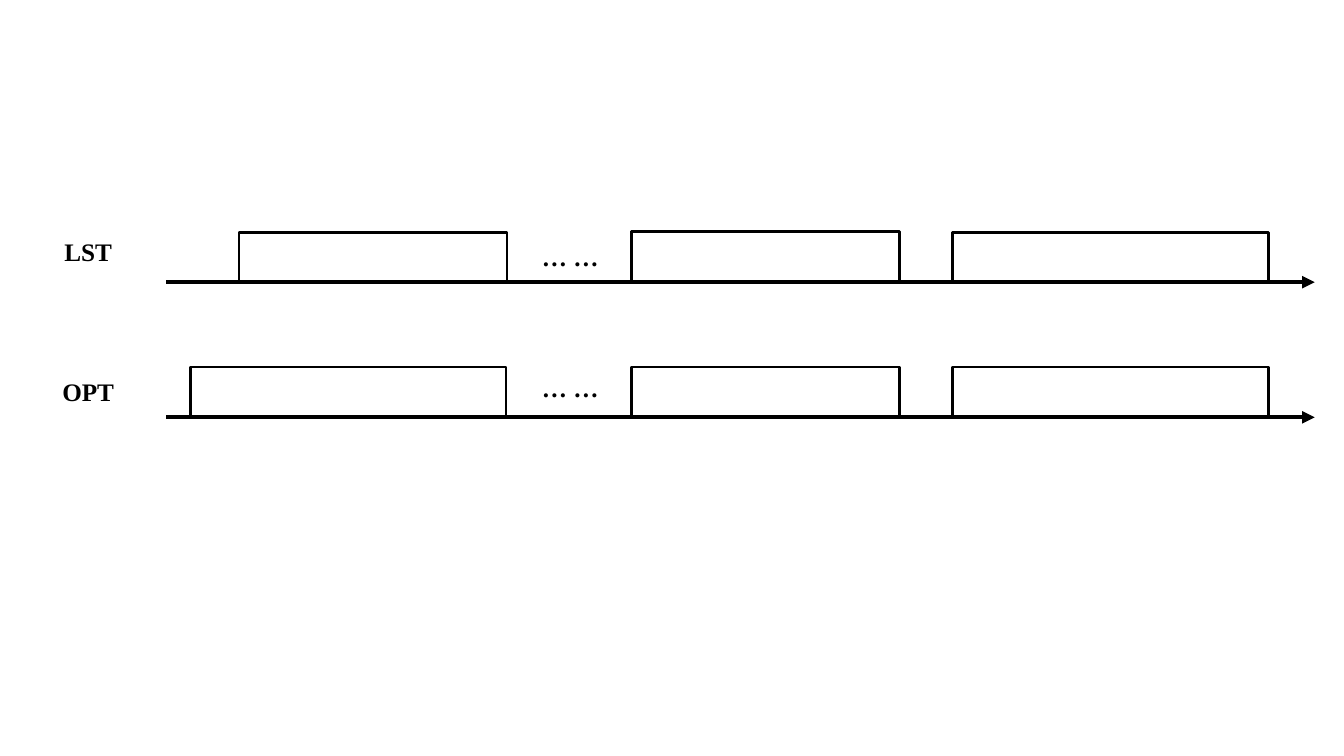
from dataclasses import dataclass

from lxml import etree
from pptx import Presentation
from pptx.dml.color import RGBColor
from pptx.enum.shapes import MSO_CONNECTOR, MSO_SHAPE
from pptx.enum.text import MSO_AUTO_SIZE, PP_ALIGN
from pptx.oxml.ns import qn
from pptx.shapes.shapetree import GroupShapes
from pptx.util import Emu, Pt

PX = 9144  # 100 px to the inch
BLACK = RGBColor(0, 0, 0)
RECT = MSO_SHAPE.RECTANGLE
STRAIGHT = MSO_CONNECTOR.STRAIGHT
CENTER = PP_ALIGN.CENTER
GROW = MSO_AUTO_SIZE.SHAPE_TO_FIT_TEXT

AXIS_LEFT, AXIS_RIGHT = 165, 1304
BAR_HEIGHT = 49
LABEL_LEFT, DOTS_LEFT = 31, 509
TEXT_WIDTH, TEXT_HEIGHT = 113, 40
LABEL_FONT = {"name": "Times New Roman", "size": Pt(18), "bold": True}


@dataclass(frozen=True)
class Bar:
    left: int
    top: int
    width: int


@dataclass(frozen=True)
class Timeline:
    label: str
    label_top: int
    dots_top: int
    axis_y: int
    bars: tuple[Bar, ...]


TIMELINES = (
    Timeline("LST", 230, 234, 280,
             (Bar(237, 231, 266), Bar(626, 230, 266), Bar(945, 231, 313))),
    Timeline("OPT", 368, 364, 414,
             (Bar(189, 364, 313), Bar(626, 364, 266), Bar(945, 364, 313))),
)


def px(value: int) -> Emu:
    return Emu(value * PX)


def add_bar(shapes: GroupShapes, bar: Bar) -> None:
    s = shapes.add_shape(RECT, px(bar.left), px(bar.top), px(bar.width), px(BAR_HEIGHT))
    s.shadow.inherit = False
    s.fill.background()
    s.line.color.rgb = BLACK
    s.line.width = Pt(2)


def add_axis(shapes: GroupShapes, y: int) -> None:
    axis = shapes.add_connector(STRAIGHT, px(AXIS_LEFT), px(y), px(AXIS_RIGHT), px(y))
    axis.line.color.rgb = BLACK
    axis.line.width = Pt(3)
    etree.SubElement(axis.line._get_or_add_ln(), qn("a:tailEnd"), type="triangle")
    etree.SubElement(axis._element.spPr, qn("a:effectLst"))


def add_label(shapes: GroupShapes, text: str, left: int, top: int) -> None:
    box = shapes.add_textbox(px(left), px(top), px(TEXT_WIDTH), px(TEXT_HEIGHT))
    tf = box.text_frame
    tf.word_wrap = True
    tf.auto_size = GROW
    p = tf.paragraphs[0]
    p.alignment = CENTER
    r = p.add_run()
    r.text = text
    for name, value in LABEL_FONT.items():
        setattr(r.font, name, value)
    r.font.color.rgb = BLACK


def add_timeline(shapes: GroupShapes, timeline: Timeline) -> None:
    for bar in timeline.bars:
        add_bar(shapes, bar)
    add_axis(shapes, timeline.axis_y)
    add_label(shapes, timeline.label, LABEL_LEFT, timeline.label_top)
    add_label(shapes, "… …", DOTS_LEFT, timeline.dots_top)


def main() -> None:
    prs = Presentation()
    prs.slide_width, prs.slide_height = px(1333), px(750)
    slide = prs.slides.add_slide(prs.slide_layouts[6])

    # Both schedules form one grouped diagram
    diagram = slide.shapes.add_group_shape().shapes
    for timeline in TIMELINES:
        add_timeline(diagram, timeline)

    prs.save("out.pptx")


if __name__ == "__main__":
    main()
